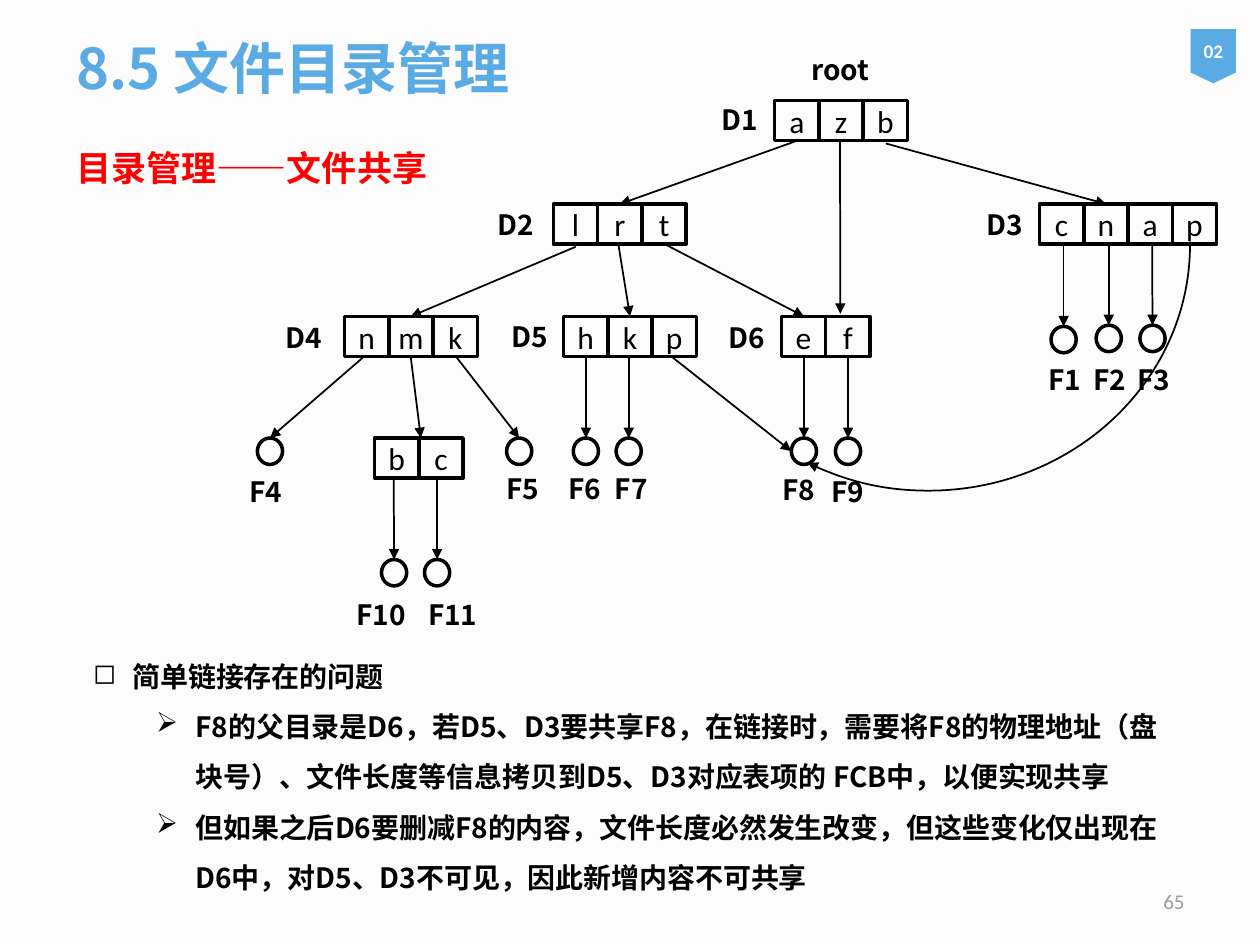
from pptx import Presentation
from pptx.util import Pt
from pptx.dml.color import RGBColor
from pptx.enum.shapes import MSO_SHAPE, MSO_CONNECTOR
from pptx.enum.text import PP_ALIGN, MSO_ANCHOR
from pptx.oxml.ns import qn
from lxml import etree

BLACK = RGBColor(0, 0, 0)
WHITE = RGBColor(255, 255, 255)
RED = RGBColor(255, 0, 0)
BLUE = RGBColor(0x5A, 0xAA, 0xE4)
GREY = RGBColor(0x9C, 0x9C, 0x9C)
PAPER = RGBColor(0xFC, 0xFC, 0xFC)
CJK, LATIN = "Noto Sans CJK SC", "Calibri"

prs = Presentation()
prs.slide_width, prs.slide_height = Pt(720), Pt(540)
s = prs.slides.add_slide(prs.slide_layouts[6])
s.background.fill.solid()
s.background.fill.fore_color.rgb = PAPER


def add_text(x, y, w, h, text, size, color=BLACK, font=CJK, bold=True,
             shape=None, align=PP_ALIGN.LEFT, anchor=MSO_ANCHOR.TOP):
    """Add a text box, or a preset shape with no fill, and format its text."""
    box = [Pt(v) for v in (x, y, w, h)]
    if shape is None:
        sp = s.shapes.add_textbox(*box)
    else:
        sp = s.shapes.add_shape(shape, *box)
        sp.shadow.inherit = False
        sp.fill.background()
        sp.line.color.rgb = BLACK
        sp.line.width = Pt(2)
    tf = sp.text_frame
    tf.word_wrap = True
    tf.vertical_anchor = anchor
    if shape is not None:
        tf.margin_left = tf.margin_right = tf.margin_top = tf.margin_bottom = 0
    tf.text = text
    for p in tf.paragraphs:
        p.alignment = align
        for r in p.runs:
            r.font.size, r.font.bold, r.font.name = Pt(size), bold, font
            r.font.color.rgb = color
            etree.SubElement(r.font._element, qn("a:ea")).set("typeface", font)
    return sp


def add_arrow(x1, y1, x2, y2):
    c = s.shapes.add_connector(MSO_CONNECTOR.STRAIGHT, Pt(x1), Pt(y1), Pt(x2), Pt(y2))
    c.line.color.rgb = BLACK
    c.line.width = Pt(1)
    etree.SubElement(c.line._get_or_add_ln(), qn("a:tailEnd")).set("type", "triangle")
    etree.SubElement(c._element.spPr, qn("a:effectLst"))


# Chapter tag
tag = add_text(680.4, 16.6, 25.9, 31, "02", 11, WHITE, LATIN, True,
               MSO_SHAPE.FLOWCHART_OFFPAGE_CONNECTOR, PP_ALIGN.CENTER, MSO_ANCHOR.MIDDLE)
tag.fill.solid()
tag.fill.fore_color.rgb = BLUE
tag.line.fill.background()

# Subtitle
sub = add_text(36.7, 68.4, 629, 54, "目录管理——文件共享", 20, RED)
sub.text_frame.paragraphs[0].line_spacing = 1.5

# Directories: one cell per entry
CELL_W, CELL_H = 25.3, 23
ROW1, ROW2, ROW3, ROW4, ROW5 = 57.4, 116.6, 180.8, 250.3, 319.7
directories = [
    ("azb", 442.7, ROW1), ("lrt", 316.2, ROW2), ("nmk", 196.9, ROW3),
    ("hkp", 322, ROW3), ("ef", 446.5, ROW3), ("bc", 214, ROW4), ("cnap", 594, ROW2),
]
for entries, x, y in directories:
    for i, entry in enumerate(entries):
        add_text(x + i * CELL_W, y, CELL_W, CELL_H, entry, 18, BLACK, LATIN, False,
                 MSO_SHAPE.RECTANGLE, PP_ALIGN.CENTER, MSO_ANCHOR.MIDDLE)

# Links between directories, and the shared link from D5 to F8
for link in [
    (455, 80.6, 354.2, ROW2), (480, 80, 480.2, 179.3), (380.2, 139.7, 459.4, ROW3),
    (506.2, 82, 632.2, ROW2), (329, 141, 234.7, ROW3), (353.5, 140.4, 360, ROW3),
    (234.7, 203.8, 240.5, ROW4), (383.8, 203.8, 452.2, 257.8),
]:
    add_arrow(*link)

# Files: name, circle centre x and top, arrow start x, label left and top
CIRCLE_W, CIRCLE_H = 14.4, 15.1
files = [
    ("F4", 154.3, ROW4, 208, 135.4, 267.8), ("F5", 296.7, ROW4, 260.6, 282.2, 265.7),
    ("F6", 334.8, ROW4, 334.8, 317.5, 265.7), ("F7", 359.3, ROW4, 359.3, 344.2, 265.7),
    ("F8", 459.4, ROW4, 459.4, 439.9, 266.4), ("F9", 484.6, ROW4, 484.6, 468, 267.8),
    ("F10", 225.2, ROW5, 225, 196.6, 337.7), ("F11", 249.8, ROW5, 249.8, 237.6, 337.7),
    ("F1", 607.8, 186.5, 607.8, 591.8, 203.8), ("F2", 633.6, 185.8, 633.6, 617.8, 203.8),
    ("F3", 658.6, 185.8, 658.4, 643, 203.8),
]
labels = [
    ("root", 456.5, 26.6), ("D1", 405.4, 54.9), ("D2", 277.2, 115.2), ("D3", 556.6, 115.2),
    ("D4", 156.2, 179.6), ("D5", 285.1, 179.3), ("D6", 409, 179.6),
]
for name, cx, top, start_x, label_x, label_y in files:
    add_text(cx - CIRCLE_W / 2, top, CIRCLE_W, CIRCLE_H, "", 16, shape=MSO_SHAPE.OVAL)
    parent_bottom = {ROW4: ROW3, ROW5: ROW4}.get(top, ROW2) + CELL_H
    add_arrow(start_x, parent_bottom, cx, top)
    labels.append((name, label_x, label_y))

# Curved link from D3 to F8
arc = add_text(390.2, -9.4, 280.8, 298.8, "", 16, shape=MSO_SHAPE.ARC)
arc.rotation = 90
arc.adjustments[0], arc.adjustments[1] = 161.559, 17.437
arc.line.width = Pt(1)
etree.SubElement(arc.line._get_or_add_ln(), qn("a:tailEnd")).set("type", "triangle")

# Directory and file names
for name, x, y in labels:
    add_text(x, y, 59, 26.6, name, 16)

# Problems with simple links
body = add_text(46.1, 363.6, 636.5, 149, "\n".join([
    "简单链接存在的问题",
    "F8的父目录是D6，若D5、D3要共享F8，在链接时，需要将F8的物理地址（盘块号）、"
    "文件长度等信息拷贝到D5、D3对应表项的 FCB中，以便实现共享",
    "但如果之后D6要删减F8的内容，文件长度必然发生改变，但这些变化仅出现在D6中，"
    "对D5、D3不可见，因此新增内容不可共享",
]), 16)
for p, level, indent, bullet in zip(body.text_frame.paragraphs, (0, 1, 1),
                                    (22.5, 58.5, 58.5), "◻➢➢"):
    p.level = level
    p.line_spacing = 1.5
    pPr = p._p.get_or_add_pPr()
    pPr.set("marL", str(Pt(indent)))
    pPr.set("indent", str(-Pt(22.5)))
    etree.SubElement(pPr, qn("a:buChar")).set("char", bullet)

# Title and page number
add_text(36.7, -6.5, 648, 90, "8.5 文件目录管理", 32, BLUE, anchor=MSO_ANCHOR.MIDDLE)
add_text(516.2, 500.4, 167.8, 28.8, "65", 12, GREY, LATIN, False,
         align=PP_ALIGN.RIGHT, anchor=MSO_ANCHOR.MIDDLE)

prs.save("out.pptx")
